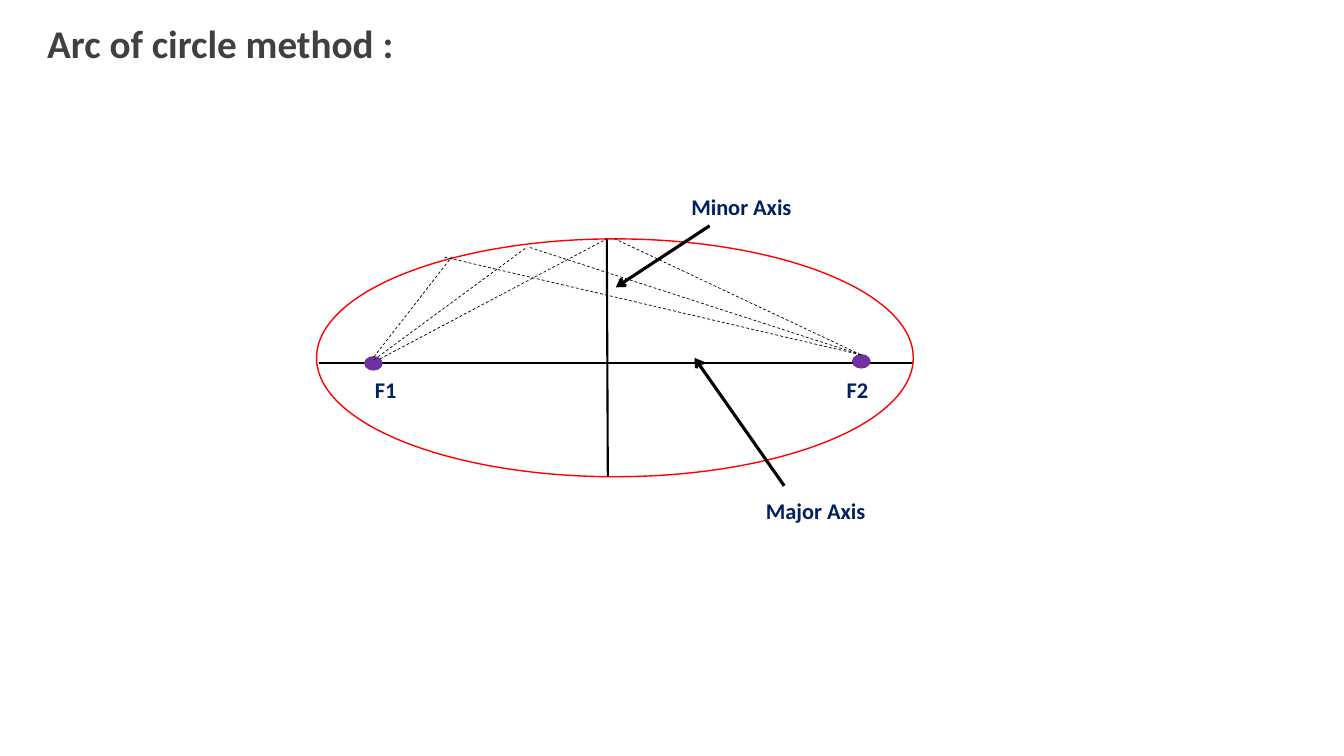
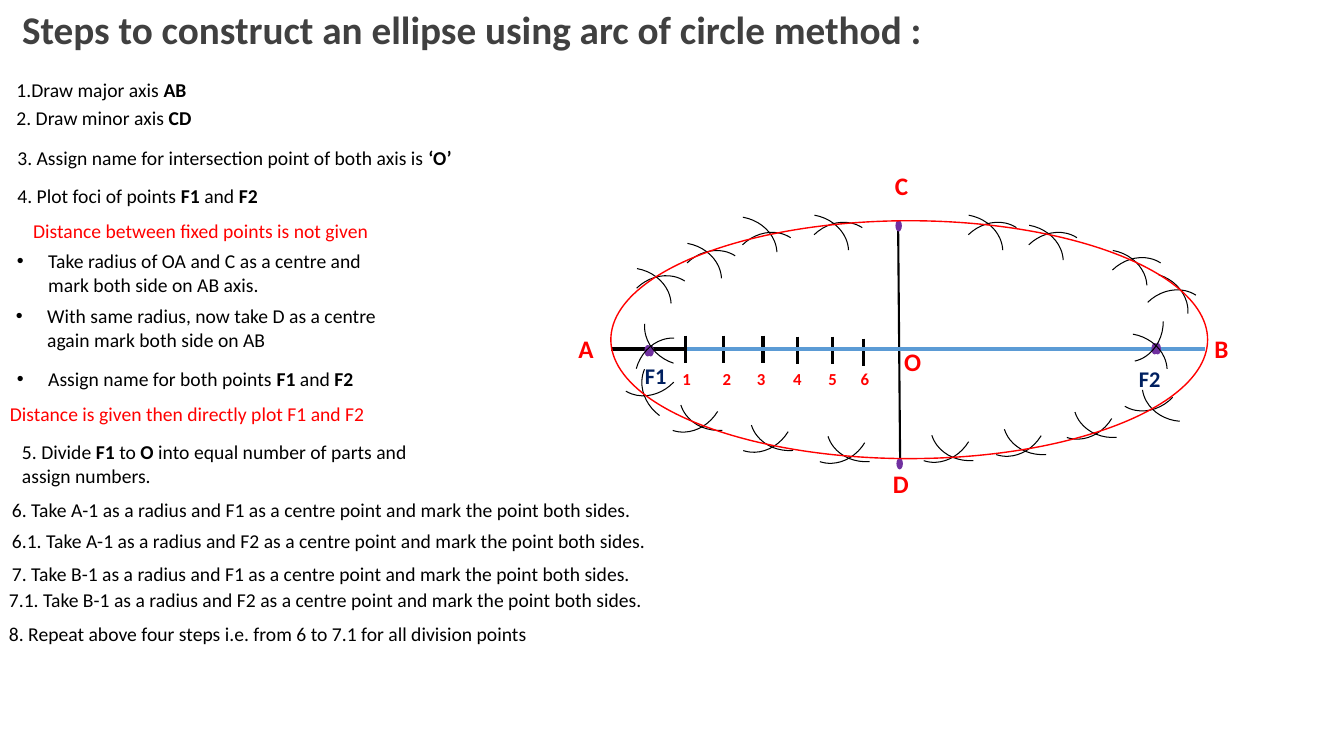
from lxml.etree import SubElement
from pptx import Presentation
from pptx.dml.color import RGBColor
from pptx.enum.dml import MSO_LINE
from pptx.enum.shapes import MSO_CONNECTOR, MSO_SHAPE
from pptx.enum.text import MSO_AUTO_SIZE
from pptx.oxml.ns import qn
from pptx.util import Inches, Pt

# The grid has square cells, ten to the inch: 133.33 columns by 75 rows.
COLUMNS, ROWS = 133.33, 75
COLORS = {
    "title": "404040", "ink": "000000", "label": "002060", "curve": "FF0000",
    "focus": "7030A0", "axis": "5B9BD5",
}
FONT = "Calibri"


def cells(count):
    """Turn a number of grid cells into a length."""
    return Inches(count / 10)


def color(name):
    """Look up a colour of the palette."""
    return RGBColor.from_string(COLORS[name])


def write(paragraph, text, size=14, fill="ink", bold=False, outline=False,
          bullet=False):
    """Fill a paragraph; parts between asterisks are bold."""
    for index, part in enumerate(text.split("*")):
        if not part:
            continue
        run = paragraph.add_run()
        run.text = part
        run.font.name, run.font.size = FONT, Pt(size)
        run.font.bold = bold or index % 2 == 1
        if outline:
            line = SubElement(run.font._element, qn("a:ln"), w=str(Pt(0.75)))
            solid = SubElement(line, qn("a:solidFill"))
            SubElement(solid, qn("a:srgbClr"), val=COLORS[fill])
            run.font._element.insert(0, line)
        run.font.color.rgb = color(fill)
    if bullet:
        properties = paragraph._p.get_or_add_pPr()
        indent = Inches(0.31)
        properties.set("marL", str(indent))
        properties.set("indent", str(-indent))
        SubElement(properties, qn("a:buFont"), typeface="Arial")
        SubElement(properties, qn("a:buChar"), char="•")


class Deck:
    """Holds the presentation, its style and the current slide."""

    def __init__(self):
        """Open an empty presentation of the right size."""
        self.presentation = Presentation()
        self.presentation.slide_width = cells(COLUMNS)
        self.presentation.slide_height = cells(ROWS)
        self.slide = None

    def start(self, title, left, top, width):
        """Add a blank slide with its title."""
        layout = self.presentation.slide_layouts[6]
        self.slide = self.presentation.slides.add_slide(layout)
        self.text(title, left, top, width, 5.7, wrap=False, size=28,
                  fill="title", bold=True)

    def text(self, text, left, top, width, height, wrap=True, **style):
        """Add a text box."""
        box = self.slide.shapes.add_textbox(
            cells(left), cells(top), cells(width), cells(height))
        frame = box.text_frame
        frame.word_wrap = wrap
        frame.auto_size = MSO_AUTO_SIZE.SHAPE_TO_FIT_TEXT
        write(frame.paragraphs[0], text, **style)

    def label(self, text, left, top, width=4.8):
        """Add a dark blue label."""
        self.text(text, left, top, width, 3.7, size=16, fill="label", bold=True)

    def line(self, start, end, width=1.5, stroke="ink", dashed=False,
             arrow=False):
        """Add a straight line, with an arrowhead at its end on request."""
        connector = self.slide.shapes.add_connector(
            MSO_CONNECTOR.STRAIGHT, *map(cells, start + end))
        connector.line.color.rgb = color(stroke)
        connector.line.width = Pt(width)
        if dashed:
            connector.line.dash_style = MSO_LINE.DASH
        if arrow:
            SubElement(connector.line._get_or_add_ln(), qn("a:tailEnd"),
                       type="arrow")
        SubElement(connector._element.spPr, qn("a:effectLst"))

    def shape(self, kind, left, top, width, height, stroke, weight=1,
              fill=None):
        """Add a preset shape and return it."""
        shape = self.slide.shapes.add_shape(
            kind, cells(left), cells(top), cells(width), cells(height))
        shape.shadow.inherit = False
        shape.line.color.rgb = color(stroke)
        shape.line.width = Pt(weight)
        if fill:
            shape.fill.solid()
            shape.fill.fore_color.rgb = color(fill)
        else:
            shape.fill.background()
        return shape

    def ellipse(self, left, top):
        """Add the red ellipse under construction."""
        self.shape(MSO_SHAPE.OVAL, left, top, 59.2, 23.6, "curve")

    def dot(self, left, top, width, height):
        """Add a purple point."""
        self.shape(MSO_SHAPE.FLOWCHART_CONNECTOR, left, top, width, height,
                   "focus", fill="focus")

    def arc(self, left, top, rotation):
        """Add a short compass arc, from 270 to 350 degrees before rotation."""
        arc = self.shape(MSO_SHAPE.ARC, left, top, 8, 7, "ink", 0.75)
        for index, degrees in enumerate((270, 350.2)):
            arc.adjustments[index] = degrees * 0.6
        arc.rotation = rotation


def build_method(deck):
    """Show the ellipse with its axes and foci."""
    deck.start("Arc of circle method :", 3.7, 1.4, 36.8)
    deck.line((90.6, 36), (31.6, 36))
    deck.line((60.2, 23.7), (60.3, 47.3))
    deck.ellipse(31.4, 23.7)
    deck.label("Minor Axis", 67.6, 18.7, 18)
    deck.label("Major Axis", 75, 48.8, 18)
    deck.line((70.4, 22.4), (61.1, 28.5), 2.25, arrow=True)
    deck.line((77.8, 48.2), (68.9, 35.5), 2.25, arrow=True)
    deck.dot(36.2, 35.4, 1.7, 1.3)
    deck.dot(84.6, 35.2, 1.7, 1.3)
    deck.label("F1", 36.2, 36.8)
    deck.label("F2", 83, 36.8)
    right_focus = (85.4, 35.2)
    rays = [
        ((37.1, 35.4), (44.8, 25.5), (44.1, 25.5)),
        ((37.1, 35.7), (52.3, 24.5), (52.4, 24.5)),
        ((37.7, 35.6), (60.2, 23.7), (61, 23.7)),
    ]
    for left_focus, left_end, right_end in rays:
        deck.line(left_focus, left_end, 0.5, dashed=True)
        deck.line(right_focus, right_end, 0.5, dashed=True)


def build_instructions(deck):
    """List the construction steps."""
    note = {"fill": "curve"}
    point = {"bullet": True}
    steps = [
        (" 1.Draw major axis *AB*", 0.2, 7.2, 39.9, {}),
        (" 2. Draw minor axis *CD*", 0.2, 10, 39.9, {}),
        (" 3. Assign name for intersection point of both axis is *‘O’*",
         0.3, 14, 49.6, {}),
        (" 4. Plot foci of points *F1* and *F2*", 0.3, 17.8, 39.9, {}),
        ("Distance between fixed points is not given", 2.3, 21.2, 39.9, note),
        ("Take radius of OA and C as a centre and mark both side on AB axis.",
         0.7, 24.2, 39.9, point),
        ("With same radius, now take D as a centre again mark both side on AB",
         0.6, 29.7, 39.9, point),
        ("Assign name for both points *F1* and *F2*", 0.7, 35.9, 39.9, point),
        ("Distance is given then directly plot F1 and F2", 0, 39.4, 39.9, note),
        ("5. Divide *F1* to *O* into equal number of parts and assign numbers.",
         1.2, 43.2, 45.4, {}),
    ]
    marks = [("6", "A", 1, 0.2, 48.9), ("6.1", "A", 2, 0.2, 52),
             ("7", "B", 1, 0.2, 55.3), ("7.1", "B", 2, -0.1, 57.8)]
    for number, end, focus, left, top in marks:
        steps.append((f"{number}. Take {end}-1 as a radius and F{focus} as a "
                      "centre point and mark the point both sides.",
                      left, top, 68.7, {}))
    steps.append(("8. Repeat above four steps i.e. from 6 to 7.1 for all "
                  "division points", -0.1, 61.2, 68.7, {}))
    for text, left, top, width, style in steps:
        two_lines = text.startswith(("Take", "With", "5."))
        deck.text(text, left, top, width, 5.7 if two_lines else 3.4, **style)


def build_arcs(deck):
    """Draw the compass arcs that cross on the ellipse."""
    upper = [(61.6, 27.6), (66.6, 25.1), (79.2, 22.3), (94.5, 22.3),
             (100.5, 23.3), (108.8, 25.8)]
    for left, top in upper:
        deck.arc(left, top, 315.9)
        deck.arc(left - 3, top - 1, 10)
    lower = [(64.2, 35.5), (71.2, 37.5), (78.8, 38.6), (89.1, 38.5),
             (96.3, 37.9), (103.3, 36.2)]
    for left, top in lower:
        deck.arc(left, top, 121.4)
        deck.arc(left + 3.2, top + 0.2, 175.6)
    others = [
        (63.9, 29.2, 198), (107.9, 28.4, 90), (62.5, 34, 285.4),
        (107.8, 33.1, 9.7), (60.3, 32, 133.6), (112.3, 29, 315.9),
        (109.8, 33.5, 133.6), (109.9, 27.1, 17.3), (113.3, 34.8, 184.4),
        (63.5, 34.9, 216.3), (72.1, 23.3, 315.9), (69.1, 21.5, 10),
    ]
    for left, top, rotation in others:
        deck.arc(left, top, rotation)


def build_steps(deck):
    """Show the steps beside the finished construction."""
    deck.start("Steps to construct an ellipse using arc of circle method :",
               1.2, 0, 91.9)
    build_instructions(deck)
    deck.line((119.5, 34.7), (60.6, 34.7))
    deck.line((89.1, 22.4), (89.3, 46))
    ticks = [(68, 33.3, 66.7), (71.8, 33.3, 70.7), (75.7, 33.3, 74.1),
             (79.1, 33.4, 77.7), (82.6, 33.4, 81.2), (85.7, 33.6, 84.4)]
    for number, (column, top, label_left) in enumerate(ticks, 1):
        deck.line((column, top), (column, top + 2.7), 2.25)
        deck.text(str(number), label_left, 36.1, 2.9, 3, size=12,
                  fill="curve", bold=True, outline=True)
    deck.line((68, 34.6), (60.6, 34.6), 3)
    deck.line((119.5, 34.6), (68.2, 34.6), 3, "axis")
    points = [("A", 56.4, 32.6), ("B", 119.5, 32.6), ("C", 87.8, 16.4),
              ("D", 87.6, 46), ("O", 88.7, 33.9)]
    for name, left, top in points:
        deck.text(name, left, top, 3.6, 4, wrap=False, size=18, fill="curve",
                  bold=True)
    deck.label("F1", 63, 35.4)
    deck.label("F2", 112, 35.7)
    dots = [(88.9, 21.9), (89, 45.5), (64.3, 34.3), (64, 34.3),
            (114.3, 34.1), (114.6, 34.1)]
    for left, top in dots:
        deck.dot(left, top, 0.5, 1)
    build_arcs(deck)
    deck.ellipse(60.6, 21.9)


deck = Deck()
build_method(deck)
build_steps(deck)
deck.presentation.save("out.pptx")
